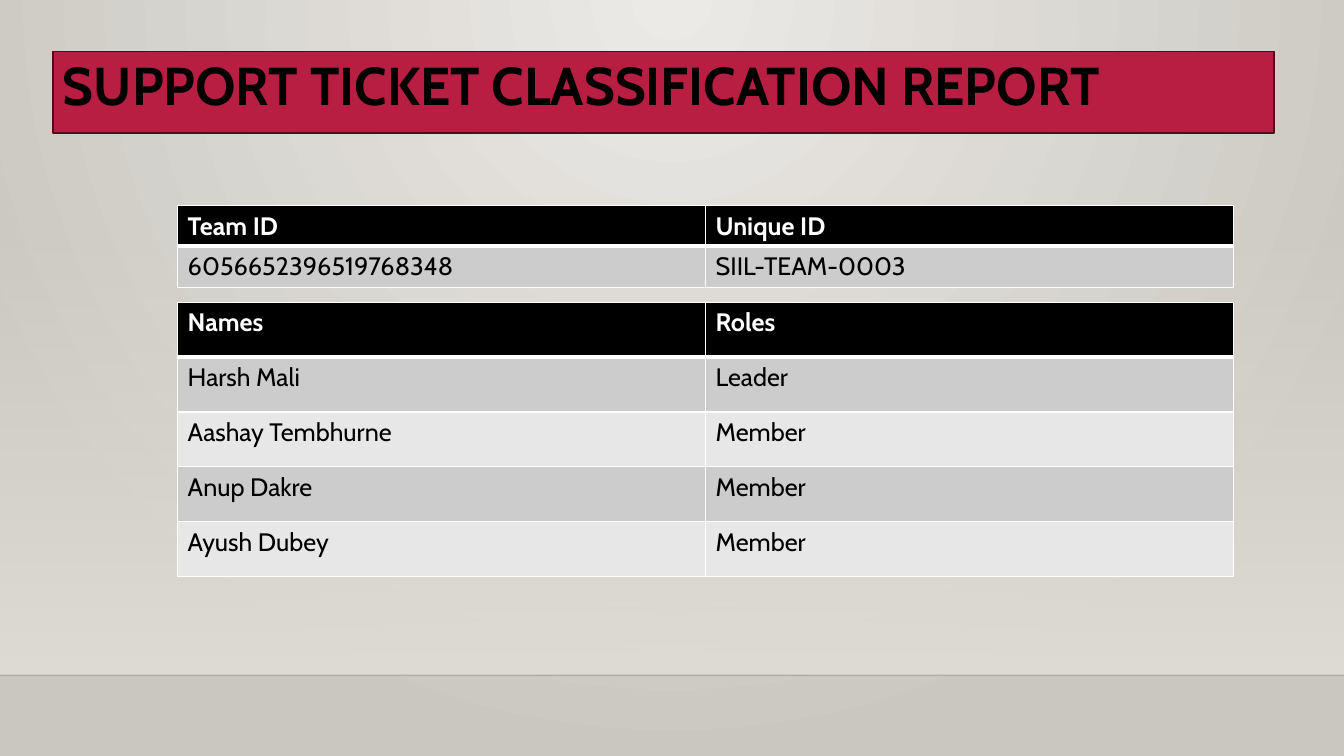
import dataclasses
import typing

import lxml.etree
import pptx
import pptx.dml.color
import pptx.enum.shapes
import pptx.enum.text
import pptx.oxml.ns
import pptx.util

Pt = pptx.util.Pt
qn = pptx.oxml.ns.qn


@dataclasses.dataclass(frozen=True)
class Theme:
    font: str = "Cabin"
    title_size: float = 38
    table_size: float = 18
    black: str = "000000"
    white: str = "FFFFFF"
    crimson: str = "B71E42"
    maroon: str = "500D1D"
    floor_line: str = "000001"
    glow: str = "ECEAE7"
    wall: str = "CAC7C1"
    fade: str = "DFDBD5"
    bands: tuple[str, str] = ("CCCCCC", "E7E7E7")


@dataclasses.dataclass(frozen=True)
class TableBlock:
    top: float
    row_heights: list[float]
    rows: list[tuple[str, str]]


THEME = Theme()
SLIDE_WIDTH, SLIDE_HEIGHT = 960, 540
FLOOR_TOP = 482.4
TABLE_LEFT, COLUMN_WIDTH = 126.9, 377.1
THIN_BORDER, HEADER_BORDER = 1, 3

TABLES = [
    TableBlock(215.9, [39.2] * 5, [
        ("Names", "Roles"),
        ("Harsh Mali", "Leader"),
        ("Aashay Tembhurne", "Member"),
        ("Anup Dakre", "Member"),
        ("Ayush Dubey", "Member"),
    ]),
    TableBlock(147, [28.8, 29.3], [
        ("Team ID", "Unique ID"),
        ("6056652396519768348", "SIIL-TEAM-0003"),
    ]),
]


def rgb(color: str) -> pptx.dml.color.RGBColor:
    return pptx.dml.color.RGBColor.from_string(color)


def set_alpha(element: typing.Any, percent: int) -> None:
    """Set the opacity of the first colour inside an element."""
    color = element.find(".//" + qn("a:srgbClr"))
    lxml.etree.SubElement(color, qn("a:alpha")).set("val", str(percent * 1000))


def set_gradient(fill: typing.Any, colors: tuple[str, str]) -> None:
    fill.gradient()
    for stop, color in zip(fill.gradient_stops, colors):
        stop.color.rgb = rgb(color)


def write_text(frame: typing.Any, text: str, *, size: float, color: str,
               bold: bool = False, line_spacing: float = 1) -> None:
    paragraph = frame.paragraphs[0]
    paragraph.line_spacing = line_spacing
    run = paragraph.add_run()
    run.text = text
    run.font.name = THEME.font
    run.font.size = Pt(size)
    run.font.bold = bold
    run.font.color.rgb = rgb(color)


def add_rectangle(slide: typing.Any, left: float, top: float,
                  width: float, height: float) -> typing.Any:
    shape = slide.shapes.add_shape(pptx.enum.shapes.MSO_SHAPE.RECTANGLE,
                                   Pt(left), Pt(top), Pt(width), Pt(height))
    shape.shadow.inherit = False
    return shape


def paint_background(slide: typing.Any) -> None:
    """Radial glow from the top centre, fading into a plain wall above the floor."""
    set_gradient(slide.background.fill, (THEME.glow, THEME.wall))
    gradient = slide.element.find(".//" + qn("a:gradFill"))
    gradient.remove(gradient.find(qn("a:lin")))
    circle = lxml.etree.SubElement(gradient, qn("a:path"))
    circle.set("path", "circle")
    focus = lxml.etree.SubElement(circle, qn("a:fillToRect"))
    for side, value in (("l", "43000"), ("r", "43000"), ("b", "100000")):
        focus.set(side, value)

    fade_top = 159.1
    fade = add_rectangle(slide, 0, fade_top, SLIDE_WIDTH, FLOOR_TOP - fade_top)
    set_gradient(fade.fill, (THEME.fade, THEME.fade))
    fade.fill.gradient_angle = 270
    set_alpha(fade.element.spPr.find(qn("a:gradFill")), 0)
    fade.line.fill.background()

    floor = slide.shapes.add_connector(pptx.enum.shapes.MSO_CONNECTOR.STRAIGHT,
                                       Pt(0), Pt(FLOOR_TOP), Pt(SLIDE_WIDTH), Pt(FLOOR_TOP))
    floor.line.color.rgb = rgb(THEME.floor_line)
    floor.line.width = Pt(1)
    properties = floor.element.spPr
    set_alpha(properties.find(qn("a:ln")), 20)
    lxml.etree.SubElement(properties, qn("a:effectLst"))


def add_title(slide: typing.Any, text: str) -> None:
    banner = add_rectangle(slide, 37.9, 36.7, 872.4, 58.2)
    banner.fill.solid()
    banner.fill.fore_color.rgb = rgb(THEME.crimson)
    banner.line.color.rgb = rgb(THEME.maroon)
    banner.line.width = Pt(1.25)

    box = slide.shapes.add_textbox(Pt(37.9), Pt(40.3), Pt(905), Pt(43.2))
    frame = box.text_frame
    frame.word_wrap = True
    frame.vertical_anchor = pptx.enum.text.MSO_ANCHOR.BOTTOM
    frame.margin_bottom = Pt(0)
    write_text(frame, text, size=THEME.title_size, color=THEME.black,
               bold=True, line_spacing=0.9)


def set_borders(cell: typing.Any, row_index: int) -> None:
    """White cell borders, with a thick line between the header and the body."""
    widths = {
        "L": THIN_BORDER,
        "R": THIN_BORDER,
        "T": HEADER_BORDER if row_index == 1 else THIN_BORDER,
        "B": HEADER_BORDER if row_index == 0 else THIN_BORDER,
    }
    properties = cell._tc.get_or_add_tcPr()
    for side, width in widths.items():
        line = lxml.etree.SubElement(properties, qn(f"a:ln{side}"))
        line.set("w", str(int(Pt(width))))
        solid = lxml.etree.SubElement(line, qn("a:solidFill"))
        lxml.etree.SubElement(solid, qn("a:srgbClr")).set("val", THEME.white)


def add_table(slide: typing.Any, block: TableBlock) -> None:
    column_count = len(block.rows[0])
    table = slide.shapes.add_table(
        len(block.rows), column_count, Pt(TABLE_LEFT), Pt(block.top),
        Pt(COLUMN_WIDTH * column_count), Pt(sum(block.row_heights))).table
    for column in table.columns:
        column.width = Pt(COLUMN_WIDTH)
    for row_index, (height, texts) in enumerate(zip(block.row_heights, block.rows)):
        table.rows[row_index].height = Pt(height)
        header = row_index == 0
        background = THEME.black if header else THEME.bands[(row_index - 1) % 2]
        for column_index, text in enumerate(texts):
            cell = table.cell(row_index, column_index)
            set_borders(cell, row_index)
            cell.fill.solid()
            cell.fill.fore_color.rgb = rgb(background)
            write_text(cell.text_frame, text, size=THEME.table_size, bold=header,
                       color=THEME.white if header else THEME.black)


def main() -> None:
    presentation = pptx.Presentation()
    presentation.slide_width = Pt(SLIDE_WIDTH)
    presentation.slide_height = Pt(SLIDE_HEIGHT)
    slide = presentation.slides.add_slide(presentation.slide_layouts[6])
    paint_background(slide)
    add_title(slide, "SUPPORT TICKET CLASSIFICATION REPORT")
    for block in TABLES:
        add_table(slide, block)
    presentation.save("out.pptx")


if __name__ == "__main__":
    main()
